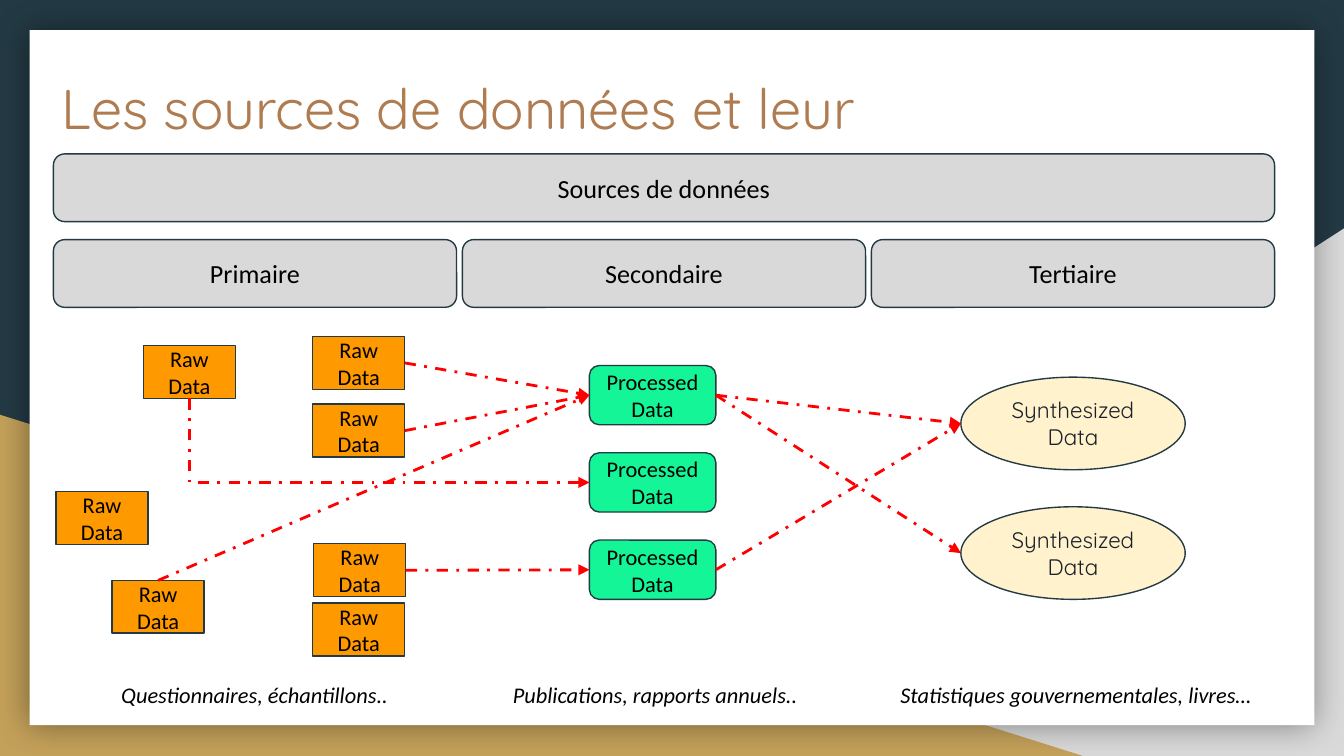
from collections import namedtuple

from lxml import etree
from pptx import Presentation
from pptx.dml.color import RGBColor
from pptx.enum.dml import MSO_LINE
from pptx.enum.shapes import MSO_CONNECTOR, MSO_SHAPE
from pptx.enum.text import MSO_ANCHOR, MSO_AUTO_SIZE, PP_ALIGN
from pptx.oxml import parse_xml
from pptx.oxml.ns import nsdecls, qn
from pptx.util import Cm, Pt

NAVY = RGBColor(0x23, 0x3A, 0x44)
GREY = RGBColor(0xD9, 0xD9, 0xD9)
GOLD = RGBColor(0xC4, 0xA1, 0x5A)
WHITE = RGBColor(0xFF, 0xFF, 0xFF)
BLACK = RGBColor(0x00, 0x00, 0x00)
BROWN = RGBColor(0xAF, 0x7B, 0x51)
ORANGE = RGBColor(0xFF, 0x99, 0x00)
GREEN = RGBColor(0x14, 0xF5, 0x97)
CREAM = RGBColor(0xFF, 0xF2, 0xCC)
INK = RGBColor(0x1B, 0x21, 0x2C)
RED = RGBColor(0xFF, 0x00, 0x00)

BODY_FONT, DISPLAY_FONT = "Calibri", "Quicksand"
RECTANGLE, ROUNDED = MSO_SHAPE.RECTANGLE, MSO_SHAPE.ROUNDED_RECTANGLE
TRIANGLE, OVAL = MSO_SHAPE.RIGHT_TRIANGLE, MSO_SHAPE.OVAL
PROCESS = MSO_SHAPE.FLOWCHART_ALTERNATE_PROCESS
STRAIGHT, ELBOW = MSO_CONNECTOR.STRAIGHT, MSO_CONNECTOR.ELBOW
DASH_DOT = MSO_LINE.DASH_DOT
TOP, MIDDLE = MSO_ANCHOR.TOP, MSO_ANCHOR.MIDDLE
LEFT, CENTER = PP_ALIGN.LEFT, PP_ALIGN.CENTER
NO_FIT = MSO_AUTO_SIZE.NONE

# Lengths in centimetres
Box = namedtuple("Box", "left top width height")

RAW_OFFSETS = [(4.9, 0), (0.05, 2.93), (4.92, 3.92), (1.11, 4.61),
               (1.7, 0.17), (4.9, 5.04), (4.9, 1.28)]


def in_cm(box):
    return [Cm(length) for length in box]


def write(shape, paragraphs, size, font=BODY_FONT, color=BLACK, italic=False,
          anchor=MIDDLE, align=CENTER):
    """Fill a shape with paragraphs, each given as a list of its lines."""
    frame = shape.text_frame
    frame.word_wrap = True
    frame.auto_size = NO_FIT
    frame.vertical_anchor = anchor
    frame.margin_left = frame.margin_right = Cm(0.25)
    frame.margin_top = frame.margin_bottom = Cm(0.25)
    for index, lines in enumerate(paragraphs):
        para = frame.add_paragraph() if index else frame.paragraphs[0]
        para.alignment = align
        para.space_before = Pt(0)
        for number, line in enumerate(lines):
            if number:
                para.add_line_break()
            span = para.add_run()
            span.text = line
            span.font.name = font
            span.font.size = Pt(size)
            span.font.italic = italic
            span.font.color.rgb = color


def add_block(page, kind, box, fill, outlined=True):
    shape = page.shapes.add_shape(kind, *in_cm(box))
    shape.shadow.inherit = False
    shape.fill.solid()
    shape.fill.fore_color.rgb = fill
    if outlined:
        shape.line.color.rgb = NAVY
        shape.line.width = Pt(0.75)
    else:
        shape.line.fill.background()
    return shape


def add_backdrop(page, box):
    page.background.fill.solid()
    page.background.fill.fore_color.rgb = NAVY
    right, bottom = box.left + box.width, box.top + box.height
    grey = add_block(page, TRIANGLE, Box(right - 15.44, bottom - 9.97, 15.44, 9.97),
                     GREY, outlined=False)
    grey._element.spPr.find(qn("a:xfrm")).set("flipH", "1")
    add_block(page, TRIANGLE, Box(box.left, bottom - 6.45, 20.47, 6.45),
              GOLD, outlined=False)
    panel = add_block(page, RECTANGLE, Box(0.56, 0.57, 24.28, 13.14),
                      WHITE, outlined=False)
    effects = panel._element.spPr.find(qn("a:effectLst"))
    effects.append(parse_xml(
        f'<a:outerShdw {nsdecls("a")} blurRad="{Pt(18)}" dist="0" algn="ctr">'
        '<a:srgbClr val="000000"><a:alpha val="40000"/></a:srgbClr></a:outerShdw>'))


def place_title(page, box):
    title = page.shapes.title
    title.left, title.top, title.width, title.height = in_cm(box)
    write(title, [["Les sources de données et leur"]], 30,
          DISPLAY_FONT, BROWN, anchor=TOP, align=LEFT)
    page.shapes._spTree.append(title._element)


def add_headings(page, box):
    """Draw the wide heading over three column headings; return the column boxes."""
    height, column_width = 1.28, 7.62
    wide = add_block(page, ROUNDED, box._replace(height=height), GREY)
    write(wide, [["Sources de données"]], 14)
    step = (box.width - column_width) / 2
    columns = []
    for index, name in enumerate(["Primaire", "Secondaire", "Tertiaire"]):
        column = Box(box.left + index * step, box.top + box.height - height,
                     column_width, height)
        write(add_block(page, ROUNDED, column, GREY), [[name]], 14)
        columns.append(column._replace(top=6.36, height=6.04))
    return columns


def add_raw_data(page, box):
    blocks = []
    for x, y in RAW_OFFSETS:
        block = add_block(page, RECTANGLE,
                          Box(box.left + x, box.top + y, 1.74, 1), ORANGE)
        write(block, [["Raw Data"]], 12)
        blocks.append(block)
    return blocks


def add_processed_data(page, box):
    blocks = []
    for index in range(3):
        place = Box(box.left + 2.4, box.top + 0.55 + 1.65 * index, 2.39, 1.12)
        block = add_block(page, PROCESS, place, GREEN)
        write(block, [["Processed"], ["Data"]], 12)
        blocks.append(block)
    return blocks


def add_synthesized_data(page, box):
    blocks = []
    width = 4.24
    for index in range(2):
        place = Box(box.left + (box.width - width) / 2,
                    box.top + 0.77 + 2.45 * index, width, 1.75)
        block = add_block(page, OVAL, place, CREAM)
        write(block, [["Synthesized", "Data"]], 12, DISPLAY_FONT, INK)
        blocks.append(block)
    return blocks


def add_captions(page, box):
    captions = [(0, "Questionnaires, échantillons.."),
                (7.57, "Publications, rapports annuels.."),
                (15.52, "Statistiques gouvernementales, livres…")]
    for offset, caption in captions:
        place = Box(box.left + offset, box.top, 7.49, box.height)
        label = page.shapes.add_textbox(*in_cm(place))
        write(label, [[caption]], 12, italic=True, anchor=TOP)


def style_arrow(arrow):
    arrow.line.color.rgb = RED
    arrow.line.width = Pt(1.5)
    arrow.line.dash_style = DASH_DOT
    etree.SubElement(arrow.line._get_or_add_ln(), qn("a:tailEnd"), type="triangle")
    etree.SubElement(arrow._element.spPr, qn("a:effectLst"))


def left_middle(shape):
    return shape.left, shape.top + shape.height // 2


def link(page, source, target):
    x, y = left_middle(source)
    arrow = page.shapes.add_connector(STRAIGHT, x + source.width, y,
                                      *left_middle(target))
    style_arrow(arrow)


def link_from_top(page, source, target):
    arrow = page.shapes.add_connector(STRAIGHT, source.left + source.width // 2,
                                      source.top, *left_middle(target))
    style_arrow(arrow)


def link_down_then_right(page, source, target):
    """Draw a one-corner elbow: a mirrored bend, turned by 270 degrees."""
    start_x = source.left + source.width // 2
    start_y = source.top + source.height
    end_x, end_y = left_middle(target)
    middle_x, middle_y = (start_x + end_x) // 2, (start_y + end_y) // 2
    half_width, half_height = (end_y - start_y) // 2, (end_x - start_x) // 2
    arrow = page.shapes.add_connector(
        ELBOW, middle_x + half_width, middle_y - half_height,
        middle_x - half_width, middle_y + half_height)
    properties = arrow._element.spPr
    properties.find(qn("a:xfrm")).set("rot", str(270 * 60000))
    properties.find(qn("a:prstGeom")).set("prst", "bentConnector2")
    style_arrow(arrow)


def add_sources_page(deck, box):
    page = deck.slides.add_slide(deck.slide_layouts[5])
    add_backdrop(page, box)
    place_title(page, Box(0.91, 1.14, 22.96, 2.87))
    primary, secondary, tertiary = add_headings(page, Box(1.01, 2.91, 23.08, 2.9))
    raw = add_raw_data(page, primary)
    processed = add_processed_data(page, secondary)
    synthesized = add_synthesized_data(page, tertiary)
    add_captions(page, Box(1.07, 12.63, 23.01, 1.12))

    for source, target in [(raw[0], processed[0]), (raw[2], processed[2]),
                           (raw[6], processed[0]), (processed[0], synthesized[1]),
                           (processed[0], synthesized[0]),
                           (processed[2], synthesized[0])]:
        link(page, source, target)
    link_down_then_right(page, raw[4], processed[1])
    link_from_top(page, raw[3], processed[0])


def main():
    deck = Presentation()
    deck.slide_width, deck.slide_height = Cm(25.4), Cm(14.29)
    add_sources_page(deck, Box(0, 0, 25.4, 14.29))
    deck.save("out.pptx")


if __name__ == "__main__":
    main()
